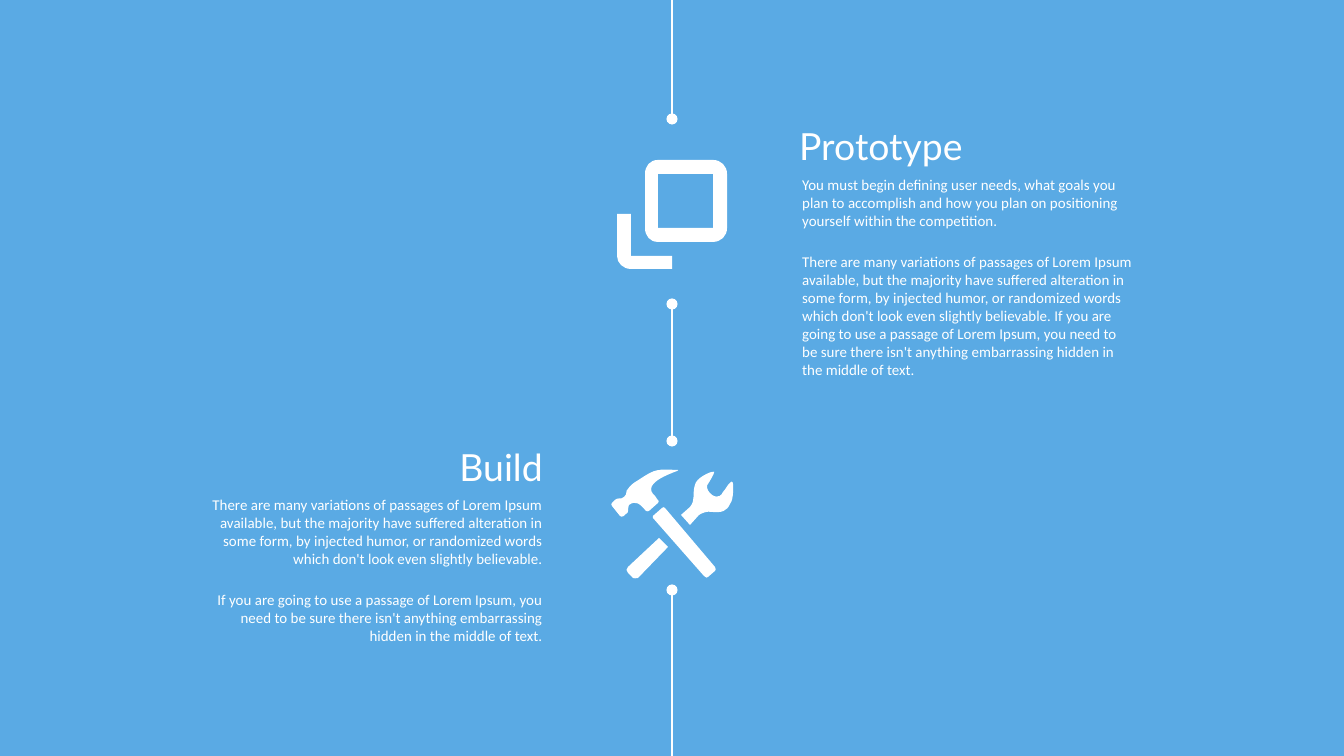
from lxml import etree
from pptx import Presentation
from pptx import util as u
from pptx.dml.color import RGBColor
from pptx.enum import shapes, text
from pptx.oxml import ns

WIDTH, HEIGHT = 1344, 756
SCALE = u.Inches(10) / WIDTH
CENTER = WIDTH // 2

BLUE = RGBColor(0x5A, 0xAA, 0xE4)
WHITE = RGBColor(0xFF, 0xFF, 0xFF)

HEADING = {"name": "Lato", "size": u.Pt(20)}
BODY = {"name": "Calibri", "size": u.Pt(8)}

# Each contour is a start point, then lines (x, y) and cubic curves (x1, y1, x2, y2, x, y).
WINDOWS_ICON = [
    [(713, 160), (658, 160), (650, 160, 645, 166, 645, 174), (645, 228),
     (645, 236, 650, 242, 658, 242), (713, 242), (721, 242, 727, 236, 727, 228),
     (727, 174), (727, 166, 721, 160, 713, 160)],
    [(713, 228), (658, 228), (658, 174), (713, 174)],
    [(631, 214), (617, 214), (617, 256), (617, 263, 623, 269, 631, 269),
     (672, 269), (672, 256), (631, 256)],
]
HAMMER_HEAD = [
    (629, 505), (636, 500, 640, 504, 646, 511), (647, 512, 648, 511, 649, 511),
    (658, 503), (659, 502, 659, 501, 658, 500), (657, 500, 656, 496, 653, 494),
    (642, 480, 684, 470, 678, 470), (675, 470, 661, 469, 660, 470),
    (652, 470, 642, 478, 637, 481), (630, 485, 628, 489, 628, 489),
    (625, 491, 628, 494, 624, 497), (621, 500, 618, 497, 615, 500),
    (612, 503), (611, 504, 611, 505, 612, 506), (620, 516),
    (621, 517, 622, 517, 624, 516), (624, 515, 628, 513, 628, 512),
    (628, 512, 628, 507, 629, 505),
]
HAMMER_HANDLE = [
    (665, 508), (664, 507, 663, 507, 662, 508), (653, 516),
    (653, 516, 653, 517, 653, 518), (704, 576), (706, 578, 707, 578, 708, 577),
    (715, 571), (716, 570, 716, 569, 715, 567),
]
WRENCH_HEAD = [
    (733, 484), (733, 481, 730, 481, 730, 483), (728, 484, 726, 489, 723, 492),
    (722, 495, 718, 499, 712, 495), (705, 489, 707, 485, 708, 484),
    (710, 481, 714, 474, 714, 473), (715, 473, 714, 470, 712, 472),
    (710, 472, 696, 478, 695, 485), (692, 493, 696, 500, 690, 507),
    (681, 515), (690, 525), (699, 515), (702, 513, 707, 511, 712, 512),
    (722, 513, 727, 511, 730, 504), (734, 499, 733, 487, 733, 484),
]
WRENCH_HANDLE = [
    (628, 567), (626, 569, 626, 571, 628, 573), (633, 578),
    (634, 579, 636, 578, 638, 578), (668, 547), (659, 538),
]
TOOLS_ICON = [HAMMER_HEAD, HAMMER_HANDLE, WRENCH_HEAD, WRENCH_HANDLE]


def px(n):
    return u.Emu(round(n * SCALE))


def add_text(s, box, paragraphs, font, align, anchor=text.MSO_ANCHOR.TOP):
    tf = s.shapes.add_textbox(*map(px, box)).text_frame
    tf.word_wrap = True
    tf.vertical_anchor = anchor
    for i, words in enumerate(paragraphs):
        p = tf.add_paragraph() if i else tf.paragraphs[0]
        p.alignment = align
        if i:
            p.space_before = u.Pt(12.75)
        r = p.add_run()
        r.text = words
        for name, value in font.items():
            setattr(r.font, name, value)
        r.font.color.rgb = WHITE


def add_section(s, heading_box, heading, body_box, paragraphs, align):
    add_text(s, body_box, paragraphs, BODY, align)
    add_text(s, heading_box, [heading], HEADING, align, text.MSO_ANCHOR.MIDDLE)


def add_timeline(s, top, bottom, dots):
    """Draw a vertical stretch with dots at the named ends."""
    line = s.shapes.add_connector(shapes.MSO_CONNECTOR.STRAIGHT,
                                  px(CENTER), px(top), px(CENTER), px(bottom))
    line.line.color.rgb = WHITE
    line.line.width = u.Pt(0.75)
    ln = line.line._get_or_add_ln()
    for end in dots:
        etree.SubElement(ln, ns.qn(f"a:{end}"), type="oval")
    etree.SubElement(line._element.spPr, ns.qn("a:effectLst"))


def bend_segments(sp, contours):
    """Turn the straight segments that stand for curves into cubic ones."""
    segments = list(sp._element.iter(ns.qn("a:lnTo")))
    steps = [step for contour in contours for step in contour[1:]]
    for segment, step in zip(segments, steps):
        if len(step) == 2:
            continue
        segment.tag = ns.qn("a:cubicBezTo")
        end = segment[0]
        for x, y in (step[:2], step[2:4]):
            control = etree.Element(ns.qn("a:pt"), x=str(px(x) - sp.left),
                                    y=str(px(y) - sp.top))
            end.addprevious(control)


def add_icon(s, contours):
    ends = [[(px(step[-2]), px(step[-1])) for step in contour] for contour in contours]
    builder = s.shapes.build_freeform(*ends[0][0])
    for i, (start, *rest) in enumerate(ends):
        if i:
            builder.move_to(*start)
        builder.add_line_segments(rest)
    sp = builder.convert_to_shape()
    bend_segments(sp, contours)
    sp.shadow.inherit = False
    sp.fill.solid()
    sp.fill.fore_color.rgb = WHITE
    sp.line.fill.background()


def main():
    prs = Presentation()
    prs.slide_width, prs.slide_height = px(WIDTH), px(HEIGHT)
    s = prs.slides.add_slide(prs.slide_layouts[6])
    s.background.fill.solid()
    s.background.fill.fore_color.rgb = BLUE

    add_section(s, (786, 113, 423, 65), "Prototype", (789, 169, 360, 225), [
        "You must begin defining user needs, what goals you plan to accomplish and how "
        "you plan on positioning yourself within the competition.",
        "There are many variations of passages of Lorem Ipsum available, but the majority "
        "have suffered alteration in some form, by injected humor, or randomized words "
        "which don't look even slightly believable. If you are going to use a passage of "
        "Lorem Ipsum, you need to be sure there isn't anything embarrassing hidden in "
        "the middle of text.",
    ], text.PP_ALIGN.LEFT)
    add_timeline(s, 0, 119, ["tailEnd"])
    add_timeline(s, 304, 441, ["headEnd", "tailEnd"])

    add_section(s, (132, 434, 424, 65), "Build", (196, 489, 360, 82), [
        "There are many variations of passages of Lorem Ipsum available, but the majority "
        "have suffered alteration in some form, by injected humor, or randomized words "
        "which don't look even slightly believable.",
        "If you are going to use a passage of Lorem Ipsum, you need to be sure there isn't "
        "anything embarrassing hidden in the middle of text.",
    ], text.PP_ALIGN.RIGHT)
    add_icon(s, WINDOWS_ICON)
    add_icon(s, TOOLS_ICON)
    add_timeline(s, 590, HEIGHT, ["headEnd"])

    prs.save("out.pptx")


if __name__ == "__main__":
    main()
